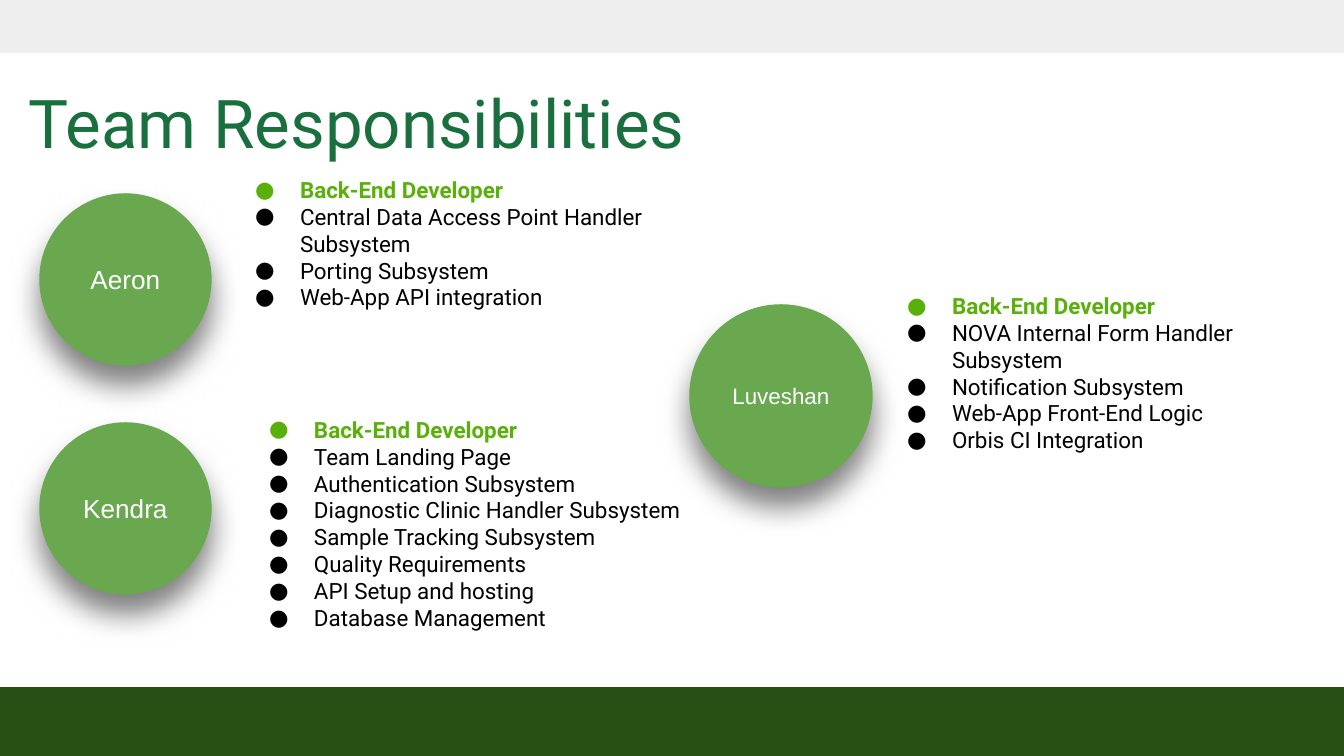
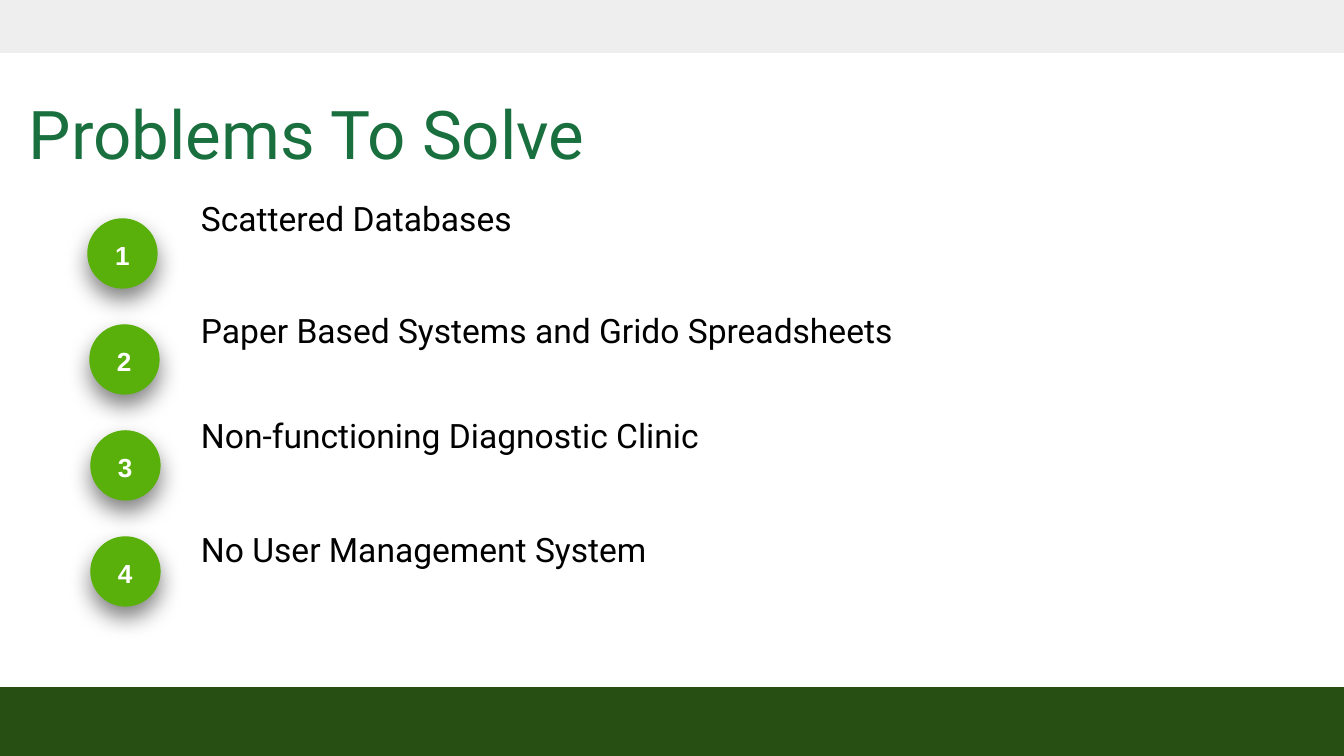
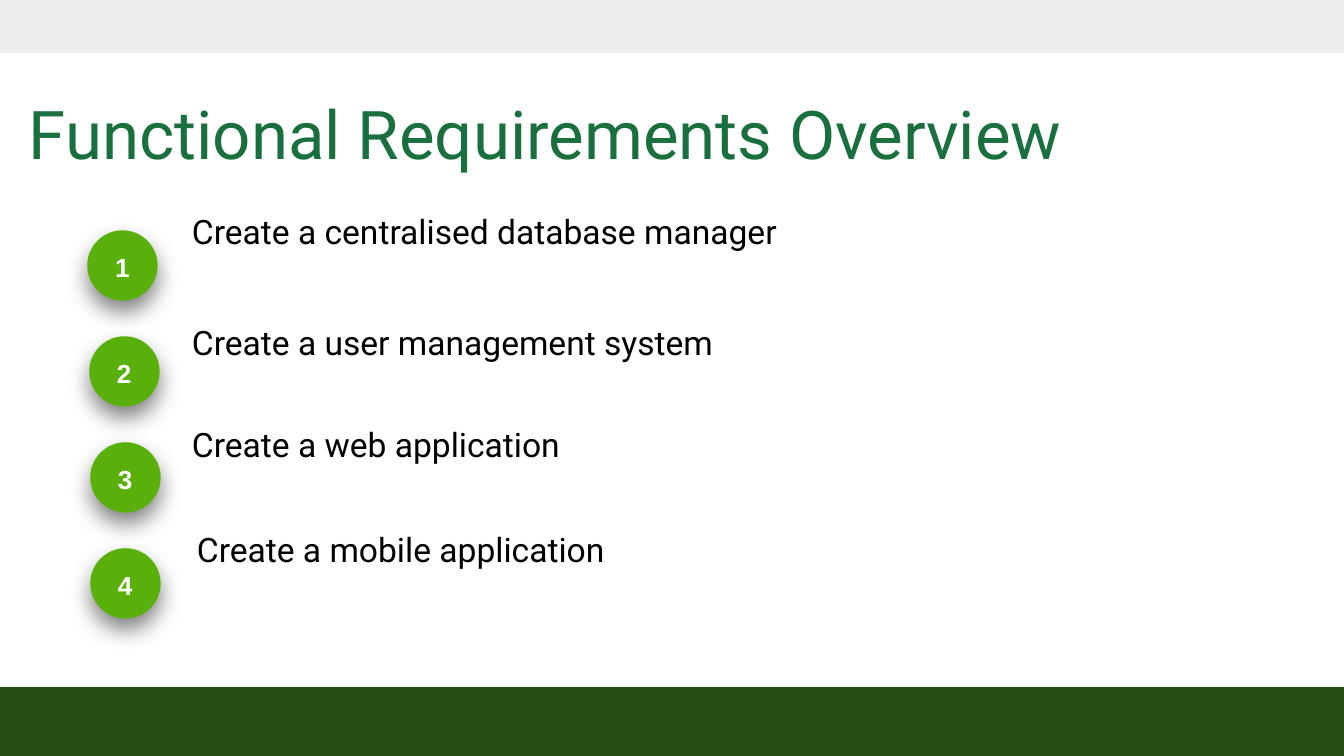
import lxml.etree
import pptx
import pptx.dml.color
import pptx.enum.shapes
import pptx.enum.text
import pptx.oxml.ns
import pptx.util

PAGE_WIDTH, PAGE_HEIGHT = 1344, 756
SCALE = pptx.util.Inches(10) / PAGE_WIDTH
INSET = 13

COLORS = {
    "white": "FFFFFF",
    "black": "000000",
    "title": "196F3D",
    "top band": "EEEEEE",
    "bottom band": "274E13",
    "member": "6AA84F",
    "accent": "59B00A",
}

ROLE = "Back-End Developer"
TEAM_TITLE = ("Team Responsibilities", 67, 962)
TEAM = [
    {"name": "Aeron", "size": 14, "circle": (40, 194, 171), "tasks_at": (220, 163, 509, 235),
     "tasks": ["Central Data Access Point Handler Subsystem", "Porting Subsystem",
               "Web-App API integration"]},
    {"name": "Kendra", "size": 14, "circle": (40, 423, 171), "tasks_at": (234, 403, 495, 276),
     "tasks": ["Team Landing Page", "Authentication Subsystem",
               "Diagnostic Clinic Handler Subsystem", "Sample Tracking Subsystem",
               "Quality Requirements", "API Setup and hosting", "Database Management"]},
    {"name": "Luveshan", "size": 12, "circle": (690, 305, 182), "tasks_at": (872, 279, 435, 235),
     "tasks": ["NOVA Internal Form Handler Subsystem", "Notification Subsystem",
               "Web-App Front-End Logic", "Orbis CI Integration"]},
]

# Each numbered item: text, left, top
NUMBERED_PAGES = [
    {"title": ("Problems To Solve", 78, 962), "first_badge": 219, "items": [
        ("Scattered Databases", 188, 185),
        ("Paper Based Systems and Grido Spreadsheets", 188, 297),
        ("Non-functioning Diagnostic Clinic", 188, 402),
        ("No User Management System", 188, 516)]},
    {"title": ("Functional Requirements Overview", 78, 1140), "first_badge": 231, "items": [
        ("Create a centralised database manager", 179, 198),
        ("Create a user management system", 179, 309),
        ("Create a web application", 179, 411),
        ("Create a mobile application", 184, 516)]},
]
BADGE_LEFTS = (88, 90, 91, 91)
BADGE_SIZE, BADGE_STEP = 69, 106

# Blur and distance in points
MEMBER_SHADOW = (15.75, 10.5)
BADGE_SHADOW = (12.4, 6)


def emu(pixels):
    return round(pixels * SCALE)


def color(name):
    return pptx.dml.color.RGBColor.from_string(COLORS[name])


def add_child(parent, tag, **attributes):
    child = lxml.etree.SubElement(parent, pptx.oxml.ns.qn(tag))
    for key, value in attributes.items():
        child.set(key, str(value))
    return child


def add_shadow(shape, blur, distance):
    """Give the shape a half-transparent black shadow straight below it."""
    effects = shape._element.spPr.find(pptx.oxml.ns.qn("a:effectLst"))
    shadow = add_child(effects, "a:outerShdw", blurRad=pptx.util.Pt(blur),
                       dist=pptx.util.Pt(distance), dir=5400000, algn="bl", rotWithShape=0)
    black = add_child(shadow, "a:srgbClr", val=COLORS["black"])
    add_child(black, "a:alpha", val=50000)


def add_shape(page, kind, at, fill, outlined=True):
    shape = page.shapes.add_shape(kind, *map(emu, at))
    shape.shadow.inherit = False
    shape.fill.solid()
    shape.fill.fore_color.rgb = color(fill)
    if outlined:
        shape.line.color.rgb = color(fill)
        shape.line.width = pptx.util.Pt(0.75)
    else:
        shape.line.fill.background()
    return shape


def add_circle(page, left, top, size, fill, shadow):
    circle = add_shape(page, pptx.enum.shapes.MSO_SHAPE.OVAL, (left, top, size, size), fill)
    add_shadow(circle, *shadow)
    return circle


def prepare_frame(shape, anchor=pptx.enum.text.MSO_ANCHOR.TOP):
    frame = shape.text_frame
    frame.word_wrap = True
    frame.auto_size = pptx.enum.text.MSO_AUTO_SIZE.NONE
    frame.vertical_anchor = anchor
    frame.margin_left = frame.margin_right = emu(INSET)
    frame.margin_top = frame.margin_bottom = emu(INSET)
    return frame


def write(para, text, size, font, ink, bold=False, align=pptx.enum.text.PP_ALIGN.LEFT):
    para.text = text
    para.alignment = align
    para.font.size = pptx.util.Pt(size)
    para.font.name = font
    para.font.bold = bold
    para.font.color.rgb = color(ink)


def add_text_box(page, at):
    return prepare_frame(page.shapes.add_textbox(*map(emu, at)))


def add_bullet(para, ink):
    properties = para._p.get_or_add_pPr()
    properties.set("marL", str(emu(67)))
    properties.set("indent", str(emu(-45)))
    bullet_color = add_child(properties, "a:buClr")
    add_child(bullet_color, "a:srgbClr", val=COLORS[ink])
    add_child(properties, "a:buFont", typeface="Roboto")
    add_child(properties, "a:buChar", char="●")


def add_page(deck, title, top, width):
    """Add a white page with its title and both bands."""
    page = deck.slides.add_slide(deck.slide_layouts[5])
    page.background.fill.solid()
    page.background.fill.fore_color.rgb = color("white")
    box = page.shapes.title
    box.left, box.top, box.width, box.height = map(emu, (16, top, width, 108))
    frame = prepare_frame(box, pptx.enum.text.MSO_ANCHOR.BOTTOM)
    write(frame.paragraphs[0], title, 36, "Roboto", "title")
    rectangle = pptx.enum.shapes.MSO_SHAPE.RECTANGLE
    add_shape(page, rectangle, (0, 0, PAGE_WIDTH, 53), "top band", outlined=False)
    add_shape(page, rectangle, (0, 688, PAGE_WIDTH, PAGE_HEIGHT - 688), "bottom band")
    return page


def add_member(page, member):
    circle = add_circle(page, *member["circle"], "member", MEMBER_SHADOW)
    frame = prepare_frame(circle, pptx.enum.text.MSO_ANCHOR.MIDDLE)
    write(frame.paragraphs[0], member["name"], member["size"], "Arial", "white",
          align=pptx.enum.text.PP_ALIGN.CENTER)

    frame = add_text_box(page, member["tasks_at"])
    for index, task in enumerate([ROLE] + member["tasks"]):
        is_role = index == 0
        para = frame.paragraphs[0] if is_role else frame.add_paragraph()
        ink = "accent" if is_role else "black"
        write(para, task, 12, "Roboto", ink, bold=is_role)
        para.space_before = pptx.util.Pt(16 if is_role else 0)
        add_bullet(para, ink)


def add_numbered_item(page, number, badge_top, text, left, top):
    badge_left = BADGE_LEFTS[number - 1]
    add_circle(page, badge_left, badge_top, BADGE_SIZE, "accent", BADGE_SHADOW)
    frame = add_text_box(page, (badge_left + 14, badge_top + 7, 43, 44))
    write(frame.paragraphs[0], str(number), 14, "Arial", "white", bold=True)

    para = add_text_box(page, (left, top, 875, 102)).paragraphs[0]
    write(para, text, 18, "Roboto", "black")
    para.space_before = pptx.util.Pt(16)


def main():
    deck = pptx.Presentation()
    deck.slide_width, deck.slide_height = emu(PAGE_WIDTH), emu(PAGE_HEIGHT)

    page = add_page(deck, *TEAM_TITLE)
    for member in TEAM:
        add_member(page, member)

    for content in NUMBERED_PAGES:
        page = add_page(deck, *content["title"])
        for index, item in enumerate(content["items"]):
            badge_top = content["first_badge"] + index * BADGE_STEP
            add_numbered_item(page, index + 1, badge_top, *item)

    deck.save("out.pptx")


if __name__ == "__main__":
    main()
